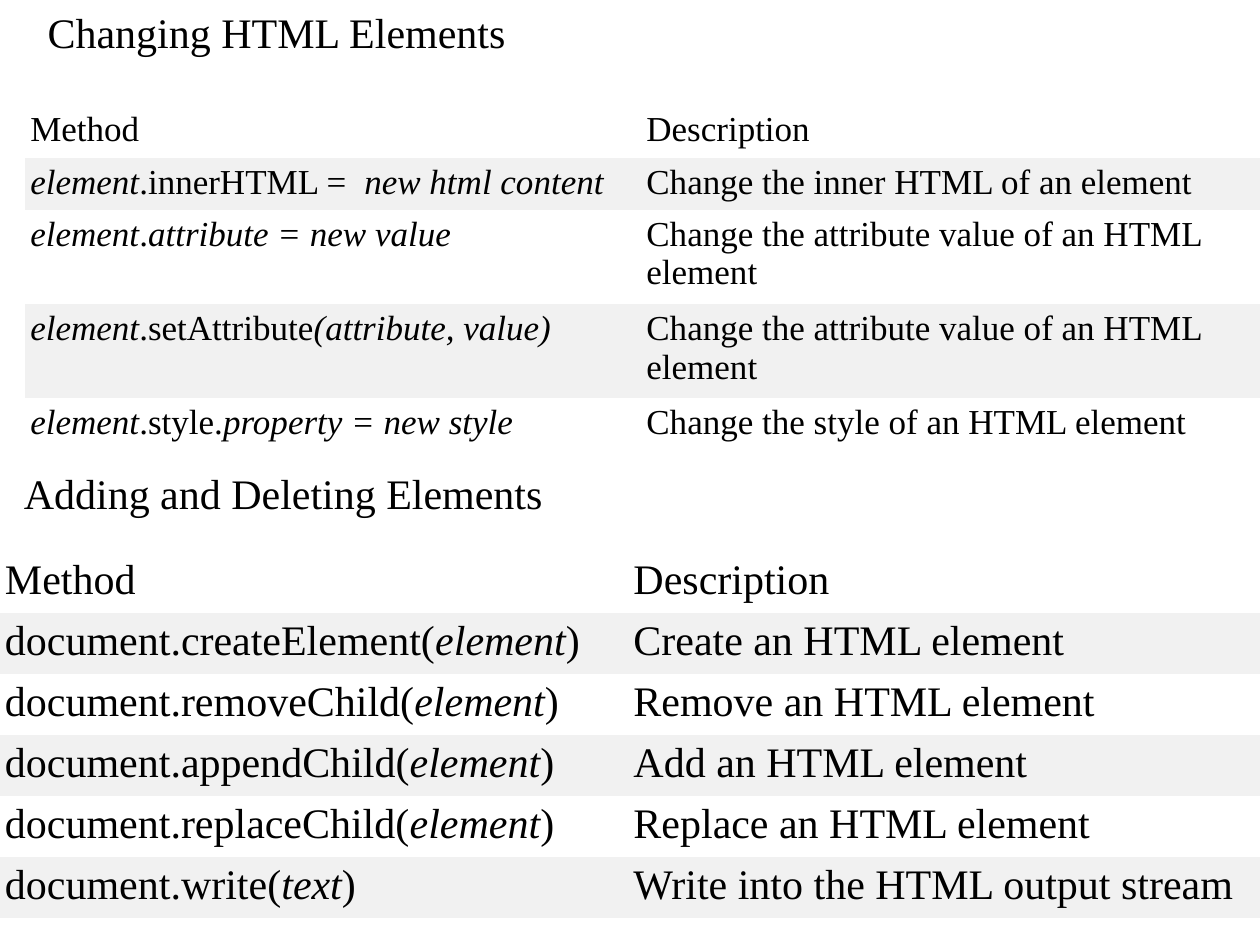
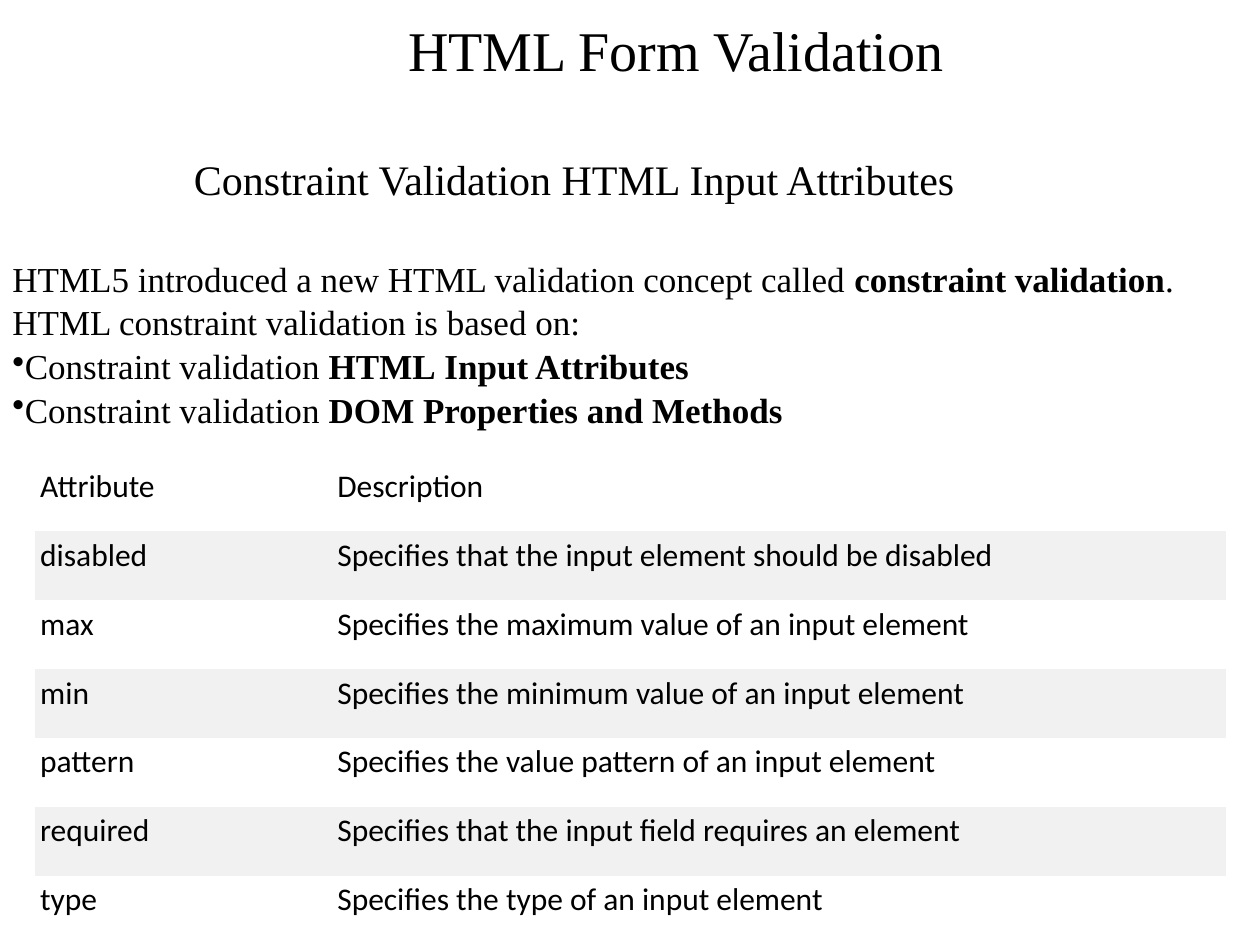
from lxml import etree
from pptx import Presentation
from pptx import util as u
from pptx.dml.color import RGBColor
from pptx.enum import shapes, text
from pptx.oxml import ns

BLACK = RGBColor(0x00, 0x00, 0x00)
WHITE = RGBColor(0xFF, 0xFF, 0xFF)
BAND = RGBColor(0xF1, 0xF1, 0xF1)
SERIF = "Times New Roman"
SANS = "Calibri"
PLAIN_TABLE = "{2D5ABB26-0587-4C30-8999-92F81FD0307C}"  # no style, no grid
CELL_INSET = u.Cm(0.1)


class Handout:
    """Shared style and the page being filled."""

    def __init__(self):
        self.deck = Presentation()
        self.deck.slide_width, self.deck.slide_height = u.Cm(25.4), u.Cm(19.05)
        self.page = None

    def new_page(self):
        self.page = self.deck.slides.add_slide(self.deck.slide_layouts[6])

    def fill_para(self, para, content, size, font=SERIF, emphasis="italic"):
        """Fill a paragraph; parts between asterisks get the emphasis."""
        for index, part in enumerate(content.split("*")):
            if part:
                span = para.add_run()
                span.text = part
                span.font.name, span.font.size = font, u.Pt(size)
                span.font.color.rgb = BLACK
                if index % 2:
                    span.font.italic = emphasis == "italic"
                    span.font.bold = emphasis == "bold"

    def heading(self, left, top, width, content):
        box = self.page.shapes.add_textbox(
            u.Cm(left), u.Cm(top), u.Cm(width), u.Cm(1.27))
        box.text_frame.word_wrap = False
        self.fill_para(box.text_frame.paragraphs[0], content, 24)

    def title_block(self, left, top, width, height, title, subtitle):
        box = self.page.shapes.add_shape(
            shapes.MSO_SHAPE.RECTANGLE,
            u.Cm(left), u.Cm(top), u.Cm(width), u.Cm(height))
        box.shadow.inherit = False
        box.fill.solid()
        box.fill.fore_color.rgb = WHITE
        box.line.fill.background()
        frame = box.text_frame
        frame.word_wrap = True
        frame.vertical_anchor = text.MSO_ANCHOR.TOP
        frame.margin_left = frame.margin_right = 0
        frame.margin_top = u.Cm(0.32)
        first, second = frame.paragraphs[0], frame.add_paragraph()
        first.alignment = second.alignment = text.PP_ALIGN.LEFT
        first._p.get_or_add_pPr().set("marL", str(u.Cm(4.32)))
        second.space_before = u.Pt(40)
        self.fill_para(first, title, 32)
        self.fill_para(second, subtitle, 24)

    def body(self, left, top, width, height, lines, bullets):
        box = self.page.shapes.add_textbox(
            u.Cm(left), u.Cm(top), u.Cm(width), u.Cm(height))
        frame = box.text_frame
        frame.word_wrap = True
        for index, content in enumerate(lines + bullets):
            para = frame.add_paragraph() if index else frame.paragraphs[0]
            para.alignment = text.PP_ALIGN.JUSTIFY
            para.space_before = u.Pt(1)
            self.fill_para(para, content, 20, emphasis="bold")
            if index >= len(lines):
                mark = etree.SubElement(para._p.pPr, ns.qn("a:buChar"))
                mark.set("char", "•")

    def table(self, left, top, widths, heights, rows, size, font=SERIF):
        frame = self.page.shapes.add_table(
            len(rows), len(widths), u.Cm(left), u.Cm(top),
            u.Cm(sum(widths)), u.Cm(sum(heights)))
        table = frame.table
        table.first_row = table.horz_banding = False
        table._tbl.tblPr.find(ns.qn("a:tableStyleId")).text = PLAIN_TABLE
        for column, width in zip(table.columns, widths):
            column.width = u.Cm(width)
        for index, (row, height, contents) in enumerate(
                zip(table.rows, heights, rows)):
            row.height = u.Cm(height)
            for cell, content in zip(row.cells, contents):
                cell.margin_left = cell.margin_right = CELL_INSET
                cell.margin_top = cell.margin_bottom = CELL_INSET
                cell.fill.solid()
                cell.fill.fore_color.rgb = BAND if index % 2 else WHITE
                self.fill_para(
                    cell.text_frame.paragraphs[0], content, size, font)


handout = Handout()

# Page 1: changing, adding and deleting elements
handout.new_page()
handout.heading(0.71, 0, 9.83, "Changing HTML Elements")
handout.table(0.51, 2.13, [12.42, 12.47], [1.05, 1.05, 1.9, 1.9, 1.05], [
    ("Method", "Description"),
    ("*element*.innerHTML =\u00a0\u00a0*new html content*",
     "Change the inner HTML of an element"),
    ("*element*.*attribute = new value*",
     "Change the attribute value of an HTML element"),
    ("*element*.setAttribute*(attribute, value)*",
     "Change the attribute value of an HTML element"),
    ("*element*.style.*property = new style*",
     "Change the style of an HTML element"),
], 20)
handout.heading(0.23, 9.3, 11.07, "Adding and Deleting Elements")
document_methods = [
    ("createElement", "element", "Create an HTML element"),
    ("removeChild", "element", "Remove an HTML element"),
    ("appendChild", "element", "Add an HTML element"),
    ("replaceChild", "element", "Replace an HTML element"),
    ("write", "text", "Write into the HTML output stream"),
]
handout.table(0, 11.13, [12.67, 12.73], [1.23] * 6, [
    ("Method", "Description"),
    *((f"document.{method}(*{argument}*)", description)
      for method, argument, description in document_methods),
], 24)

# Page 2: form validation
handout.new_page()
handout.body(0, 5.06, 25.4, 5.2, [
    "HTML5 introduced a new HTML validation concept called\u00a0"
    "*constraint validation*.",
    "HTML constraint validation is based on:",
], [
    "Constraint validation\u00a0*HTML\u00a0Input Attributes*",
    "Constraint validation\u00a0*DOM Properties and Methods*",
])
handout.table(0.71, 9.32, [5.99, 18.01], [1.39] * 7, [
    ("Attribute", "Description"),
    ("disabled", "Specifies that the input element should be disabled"),
    ("max", "Specifies the maximum value of an input element"),
    ("min", "Specifies the minimum value of an input element"),
    ("pattern", "Specifies the value pattern of an input element"),
    ("required", "Specifies that the input field requires an element"),
    ("type\u00a0", "Specifies the type of an input element"),
], 18, SANS)
handout.title_block(3.91, 0, 15.47, 5.03, "HTML Form Validation",
                    "Constraint Validation HTML Input Attributes")

handout.deck.save("out.pptx")
